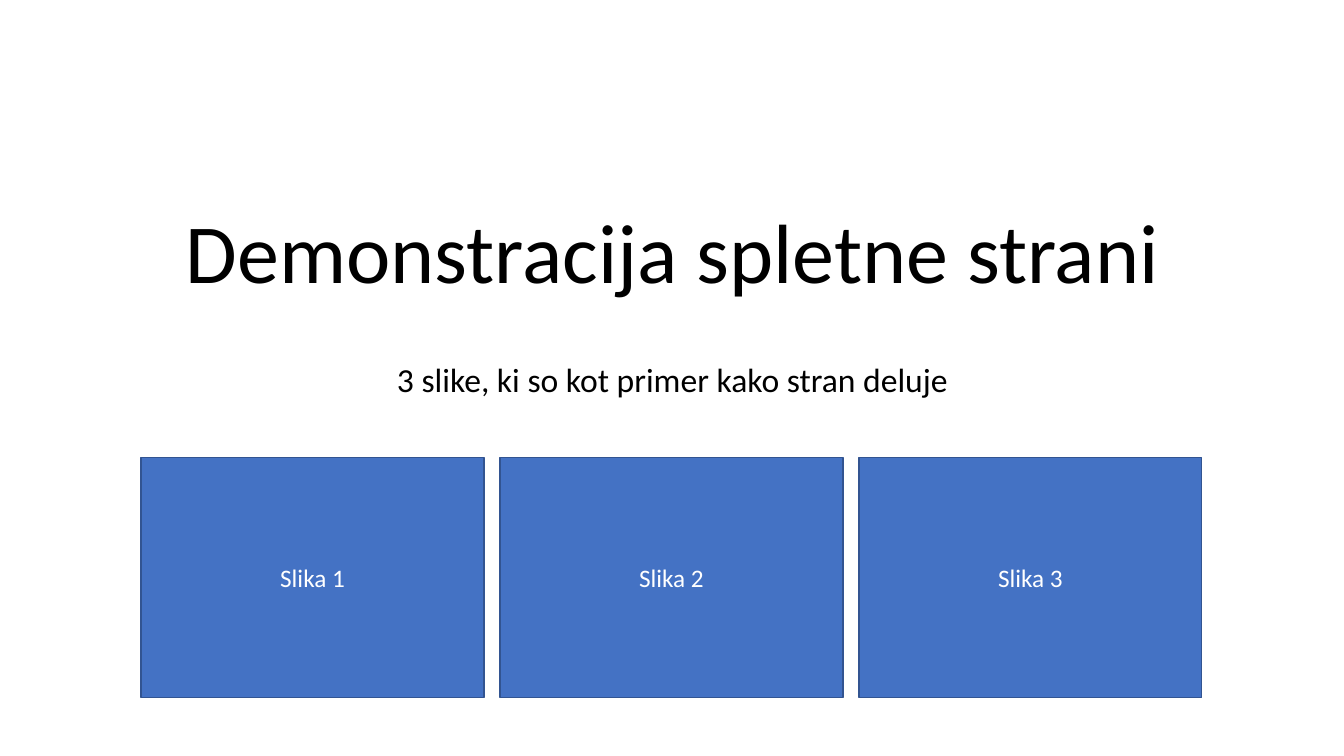
from pptx import Presentation
from pptx.dml.color import RGBColor
from pptx.enum import shapes, text
from pptx.util import Pt

PX = 9144  # EMU per px, 100 px to the inch
FONT = "Calibri"
BLACK, WHITE, BLUE, DARK_BLUE = "000000", "FFFFFF", "4472C4", "325491"


def emu(*lengths):
    return [n * PX for n in lengths]


def color(value):
    return RGBColor.from_string(value)


def write(shape, words, size, ink, anchor, line_spacing=1.0):
    """Fill a shape with one centred paragraph."""
    tf = shape.text_frame
    tf.word_wrap = True
    tf.auto_size = text.MSO_AUTO_SIZE.NONE
    tf.vertical_anchor = anchor
    p = tf.paragraphs[0]
    p.text = words
    p.alignment = text.PP_ALIGN.CENTER
    p.line_spacing = line_spacing
    p.font.name = FONT
    p.font.size = Pt(size)
    p.font.color.rgb = color(ink)
    return p


def add_heading(s, x, y, w, title, subtitle):
    """Place the title, and the subtitle below it, in a column of width w."""
    heading = s.shapes.title
    heading.left, heading.top, heading.width, heading.height = emu(x, y, w, 181)
    write(heading, title, 60, BLACK, text.MSO_ANCHOR.BOTTOM, 0.9)

    sub = s.shapes.add_textbox(*emu(x, y + 233, w, 219))
    p = write(sub, subtitle, 24, BLACK, text.MSO_ANCHOR.TOP, 0.9)
    p.space_before = Pt(10)


def add_cards(s, x, y, w, h, labels, gap=16):
    """Divide the box into equal labelled rectangles, side by side."""
    card_w = (w - gap * (len(labels) - 1)) // len(labels)
    for i, label in enumerate(labels):
        sp = s.shapes.add_shape(shapes.MSO_SHAPE.RECTANGLE,
                                *emu(x + i * (card_w + gap), y, card_w, h))
        sp.shadow.inherit = False
        sp.fill.solid()
        sp.fill.fore_color.rgb = color(BLUE)
        sp.line.color.rgb = color(DARK_BLUE)
        sp.line.width = Pt(1)
        write(sp, label, 18, WHITE, text.MSO_ANCHOR.MIDDLE)


def main():
    prs = Presentation()
    prs.slide_width, prs.slide_height = emu(1333, 750)
    s = prs.slides.add_slide(prs.slide_layouts[5])
    add_heading(s, 167, 123, 1000, "Demonstracija spletne strani",
                "3 slike, ki so kot primer kako stran deluje")
    add_cards(s, 140, 454, 1052, 238, [f"Slika {n}" for n in range(1, 4)])
    prs.save("out.pptx")


if __name__ == "__main__":
    main()
